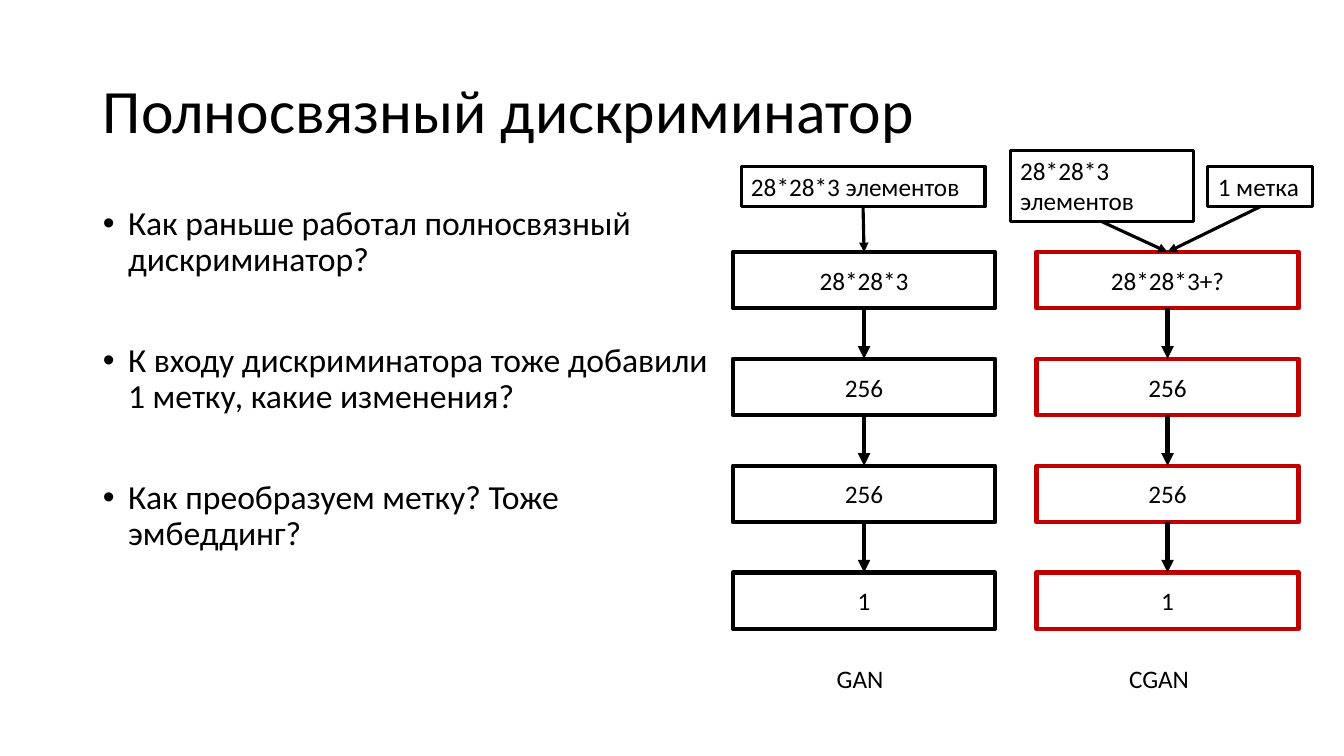
from dataclasses import dataclass

import pptx
import pptx.dml.color
import pptx.enum.shapes
import pptx.enum.text
import pptx.oxml.ns
import pptx.shapes.autoshape
import pptx.slide
import pptx.text.text
import pptx.util
from lxml import etree

PX = 9144  # 100 px to the inch
FONT = "Calibri"
BLACK, RED = "000000", "C00000"
LAYER_TOP, LAYER_STEP, LAYER_WIDTH, LAYER_HEIGHT = 250, 106, 260, 56
THIN, THICK = 2.25, 3.0
TOP_SITE, BOTTOM_SITE = 0, 2

ALIGN = pptx.enum.text.PP_ALIGN
ANCHOR = pptx.enum.text.MSO_ANCHOR
Box = pptx.shapes.autoshape.Shape


@dataclass(frozen=True)
class Place:
    left: int
    top: int
    width: int
    height: int

    def emu(self) -> tuple[int, int, int, int]:
        return self.left * PX, self.top * PX, self.width * PX, self.height * PX


@dataclass(frozen=True)
class Label:
    text: str
    place: Place


@dataclass(frozen=True)
class Network:
    left: int
    color: str
    layers: tuple[str, ...]
    inputs: tuple[Label, ...]
    caption: Label


NETWORKS = (
    Network(
        727, BLACK, ("28*28*3", "256", "256", "1"),
        (Label("28*28*3 элементов", Place(735, 165, 242, 40)),),
        Label("GAN", Place(820, 653, 72, 40)),
    ),
    Network(
        1028, RED, ("28*28*3+?", "256", "256", "1"),
        (
            Label("28*28*3 элементов", Place(1002, 149, 182, 71)),
            Label("1 метка", Place(1198, 165, 104, 40)),
        ),
        Label("CGAN", Place(1110, 653, 96, 40)),
    ),
)

QUESTIONS = (
    "Как раньше работал полносвязный дискриминатор?",
    "К входу дискриминатора тоже добавили 1 метку, какие изменения?",
    "Как преобразуем метку? Тоже эмбеддинг?",
)


def rgb(color: str) -> pptx.dml.color.RGBColor:
    return pptx.dml.color.RGBColor.from_string(color)


def child(parent: etree._Element, tag: str, **attributes: str) -> None:
    etree.SubElement(parent, pptx.oxml.ns.qn(tag), attributes)


def style(para: pptx.text.text._Paragraph, size: int, align: ALIGN = ALIGN.LEFT) -> None:
    para.alignment = align
    para.font.name = FONT
    para.font.size = pptx.util.Pt(size)
    para.font.color.rgb = rgb(BLACK)


def fill_placeholder(box: Box, place: Place, lines: tuple[str, ...], size: int, anchor: ANCHOR) -> None:
    box.left, box.top, box.width, box.height = place.emu()
    frame = box.text_frame
    frame.text = "\n".join(lines)
    frame.word_wrap = True
    frame.auto_size = pptx.enum.text.MSO_AUTO_SIZE.NONE
    frame.vertical_anchor = anchor
    for para in frame.paragraphs:
        para.line_spacing = 0.9
        para.space_before = pptx.util.Pt(0)


def add_title(page: pptx.slide.Slide) -> None:
    title = page.shapes.title
    fill_placeholder(title, Place(92, 40, 1150, 145), ("Полносвязный дискриминатор",), 44, ANCHOR.MIDDLE)
    style(title.text_frame.paragraphs[0], 44)


def add_questions(page: pptx.slide.Slide) -> None:
    body = page.placeholders[1]
    fill_placeholder(body, Place(92, 200, 635, 476), QUESTIONS, 24, ANCHOR.TOP)
    for index, para in enumerate(body.text_frame.paragraphs):
        para.space_before = pptx.util.Pt(46 if index else 0)
        properties = para._p.get_or_add_pPr()
        properties.set("marL", str(25 * PX))
        properties.set("indent", str(-25 * PX))
        child(properties, "a:buFont", typeface="Arial")
        child(properties, "a:buChar", char="•")
        style(para, 24)


def add_text(box: Box, text: str, align: ALIGN, anchor: ANCHOR) -> None:
    frame = box.text_frame
    frame.word_wrap = True
    frame.vertical_anchor = anchor
    frame.text = text
    style(frame.paragraphs[0], 18, align)


def add_box(page: pptx.slide.Slide, label: Label, color: str, line_width: float,
            align: ALIGN, anchor: ANCHOR) -> Box:
    box = page.shapes.add_shape(pptx.enum.shapes.MSO_SHAPE.RECTANGLE, *label.place.emu())
    box.shadow.inherit = False
    box.fill.background()
    box.line.color.rgb = rgb(color)
    box.line.width = pptx.util.Pt(line_width)
    add_text(box, label.text, align, anchor)
    return box


def add_arrow(page: pptx.slide.Slide, source: Box, target: Box, line_width: float) -> None:
    arrow = page.shapes.add_connector(pptx.enum.shapes.MSO_CONNECTOR.STRAIGHT, 0, 0, 0, 0)
    arrow.begin_connect(source, BOTTOM_SITE)
    arrow.end_connect(target, TOP_SITE)
    arrow.line.color.rgb = rgb(BLACK)
    arrow.line.width = pptx.util.Pt(line_width)
    child(arrow.line._get_or_add_ln(), "a:tailEnd", type="triangle")
    child(arrow._element.spPr, "a:effectLst")


def add_network(page: pptx.slide.Slide, network: Network) -> None:
    layers = []
    for index, text in enumerate(network.layers):
        place = Place(network.left, LAYER_TOP + index * LAYER_STEP, LAYER_WIDTH, LAYER_HEIGHT)
        layers.append(add_box(page, Label(text, place), network.color, THICK, ALIGN.CENTER, ANCHOR.MIDDLE))
    for source, target in zip(layers, layers[1:]):
        add_arrow(page, source, target, THICK)
    for label in network.inputs:
        source = add_box(page, label, BLACK, THIN, ALIGN.LEFT, ANCHOR.TOP)
        add_arrow(page, source, layers[0], THIN)
    caption = page.shapes.add_textbox(*network.caption.place.emu())
    add_text(caption, network.caption.text, ALIGN.LEFT, ANCHOR.TOP)


def main() -> None:
    deck = pptx.Presentation()
    deck.slide_width, deck.slide_height = 1333 * PX, 750 * PX
    page = deck.slides.add_slide(deck.slide_layouts[1])
    add_title(page)
    add_questions(page)
    for network in NETWORKS:
        add_network(page, network)
    deck.save("out.pptx")


if __name__ == "__main__":
    main()
